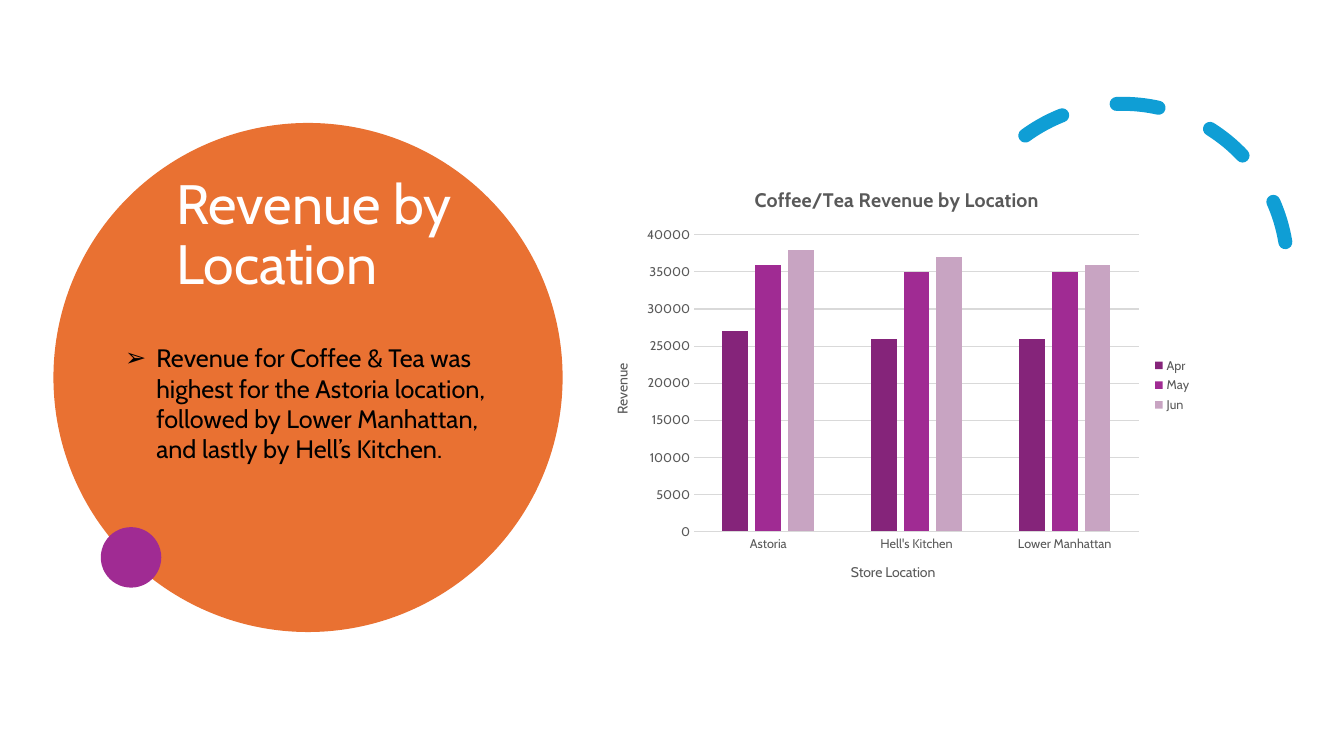
from dataclasses import dataclass

from lxml.etree import SubElement
from pptx import Presentation
from pptx.chart.data import CategoryChartData
from pptx.dml.color import RGBColor
from pptx.enum.chart import XL_CHART_TYPE, XL_LEGEND_POSITION, XL_TICK_MARK
from pptx.enum.dml import MSO_LINE
from pptx.enum.shapes import MSO_SHAPE
from pptx.enum.text import MSO_ANCHOR, MSO_AUTO_SIZE, PP_ALIGN
from pptx.oxml.ns import qn
from pptx.util import Inches, Pt


@dataclass(frozen=True)
class Theme:
    """Colours and type sizes of the slide."""
    font: str = "Cabin"
    white: str = "FFFFFF"
    black: str = "000000"
    grey: str = "595959"
    grid: str = "D9D9D9"
    orange: str = "E97132"
    purple: str = "A02B93"
    blue: str = "0F9ED5"
    bars: tuple = ("85247A", "A02B93", "C8A4C2")
    head: float = 39.6
    body: float = 18
    title: float = 14
    axis: float = 10
    label: float = 9


THEME = Theme()
PLACES = ("Astoria", "Hell's Kitchen", "Lower Manhattan")
SALES = {
    "Apr": (27000, 26000, 26000),
    "May": (36000, 35000, 35000),
    "Jun": (38000, 37000, 36000),
}


def style(font, size, color, bold=False):
    """Set the face, size and colour of a font."""
    font.name, font.size, font.bold = THEME.font, Pt(size), bold
    font.color.rgb = RGBColor.from_string(color)


def place(shape, x, y, w, h):
    """Move a shape to a box given in inches."""
    shape.left, shape.top, shape.width, shape.height = map(Inches, (x, y, w, h))


def add_disc(slide, x, y, size, color):
    """Draw a plain filled circle."""
    disc = slide.shapes.add_shape(MSO_SHAPE.OVAL, *map(Inches, (x, y, size, size)))
    disc.shadow.inherit = False
    disc.fill.solid()
    disc.fill.fore_color.rgb = RGBColor.from_string(color)
    disc.line.fill.background()


def add_arc(slide, x, y, size):
    """Draw the dashed arc with round ends."""
    arc = slide.shapes.add_shape(MSO_SHAPE.ARC, *map(Inches, (x, y, size, size)))
    arc.adjustments[0], arc.adjustments[1] = 158.17, 17.81
    arc.rotation = 330.2
    arc.shadow.inherit = False
    arc.fill.background()
    arc.line.color.rgb = RGBColor.from_string(THEME.blue)
    arc.line.width = Pt(10)
    arc.line.dash_style = MSO_LINE.DASH
    arc.line._get_or_add_ln().set("cap", "rnd")


def fill_text(slide, shape, text, size, color, anchor):
    """Write text in a placeholder and bring it to the front."""
    slide.shapes._spTree.append(shape._element)
    frame = shape.text_frame
    frame.text = text
    frame.word_wrap = True
    frame.auto_size = MSO_AUTO_SIZE.NONE
    frame.vertical_anchor = anchor
    para = frame.paragraphs[0]
    para.alignment = PP_ALIGN.LEFT
    para.space_before = Pt(0)
    style(para.font, size, color)
    return para


def add_story(slide, x, y, size):
    """Build the orange circle with its title, list and purple dot."""
    add_disc(slide, x, y, size, THEME.orange)
    title, body = slide.placeholders
    place(title, x + 1.12, y + 0.5, 3.82, 1.25)
    para = fill_text(slide, title, "Revenue by Location", THEME.head,
                     THEME.white, MSO_ANCHOR.MIDDLE)
    para.line_spacing = 0.9
    place(body, x + 0.61, y + 2.13, 4.07, 1.31)
    para = fill_text(
        slide, body,
        "Revenue for Coffee & Tea was highest for the Astoria location, "
        "followed by Lower Manhattan, and lastly by Hell’s Kitchen.",
        THEME.body, THEME.black, MSO_ANCHOR.TOP)
    props = para._p.get_or_add_pPr()
    props.set("marL", str(Inches(0.31)))
    props.set("indent", str(-Inches(0.31)))
    SubElement(props, qn("a:buChar")).set("char", "➢")
    add_disc(slide, x + 0.47, y + 4.01, 0.6, THEME.purple)


def name_part(part, text, size, bold=False):
    """Title a chart or one of its axes."""
    frame = part.text_frame
    frame.text = text
    style(frame.paragraphs[0].font, size, THEME.grey, bold)


def set_line(line):
    """Give a chart line the thin grid look."""
    line.color.rgb = RGBColor.from_string(THEME.grid)
    line.width = Pt(0.75)


def add_bars(slide, x, y, w, h):
    """Build the clustered column chart."""
    data = CategoryChartData()
    data.categories = PLACES
    for month, vals in SALES.items():
        data.add_series(month, vals)
    chart = slide.shapes.add_chart(
        XL_CHART_TYPE.COLUMN_CLUSTERED, *map(Inches, (x, y, w, h)), data).chart
    style(chart.font, THEME.axis, THEME.black)
    name_part(chart.chart_title, "Coffee/Tea Revenue by Location", THEME.title, True)
    chart.chart_title.include_in_layout = False

    plot = chart.plots[0]
    plot.gap_width, plot.overlap = 219, -27
    plot.vary_by_categories = False
    for series, color in zip(plot.series, THEME.bars):
        series.format.fill.solid()
        series.format.fill.fore_color.rgb = RGBColor.from_string(color)

    cats, vals = chart.category_axis, chart.value_axis
    for axis, name in ((cats, "Store Location"), (vals, "Revenue")):
        axis.major_tick_mark = axis.minor_tick_mark = XL_TICK_MARK.NONE
        style(axis.tick_labels.font, THEME.label, THEME.grey)
        name_part(axis.axis_title, name, THEME.axis)
    set_line(cats.format.line)
    vals.format.line.fill.background()
    set_line(vals.major_gridlines.format.line)
    vals.minimum_scale, vals.maximum_scale, vals.major_unit = 0, 40000, 5000

    chart.has_legend = True
    chart.legend.position = XL_LEGEND_POSITION.RIGHT
    chart.legend.include_in_layout = False
    style(chart.legend.font, THEME.label, THEME.grey)


def main():
    """Build and save the slide."""
    deck = Presentation()
    deck.slide_width, deck.slide_height = Inches(13.33), Inches(7.5)
    slide = deck.slides.add_slide(deck.slide_layouts[1])
    add_story(slide, 0.53, 1.22, 5.05)
    add_arc(slide, 9.5, 1.03, 3.27)
    add_bars(slide, 5.87, 1.67, 6.05, 4.3)
    deck.save("out.pptx")


if __name__ == "__main__":
    main()
